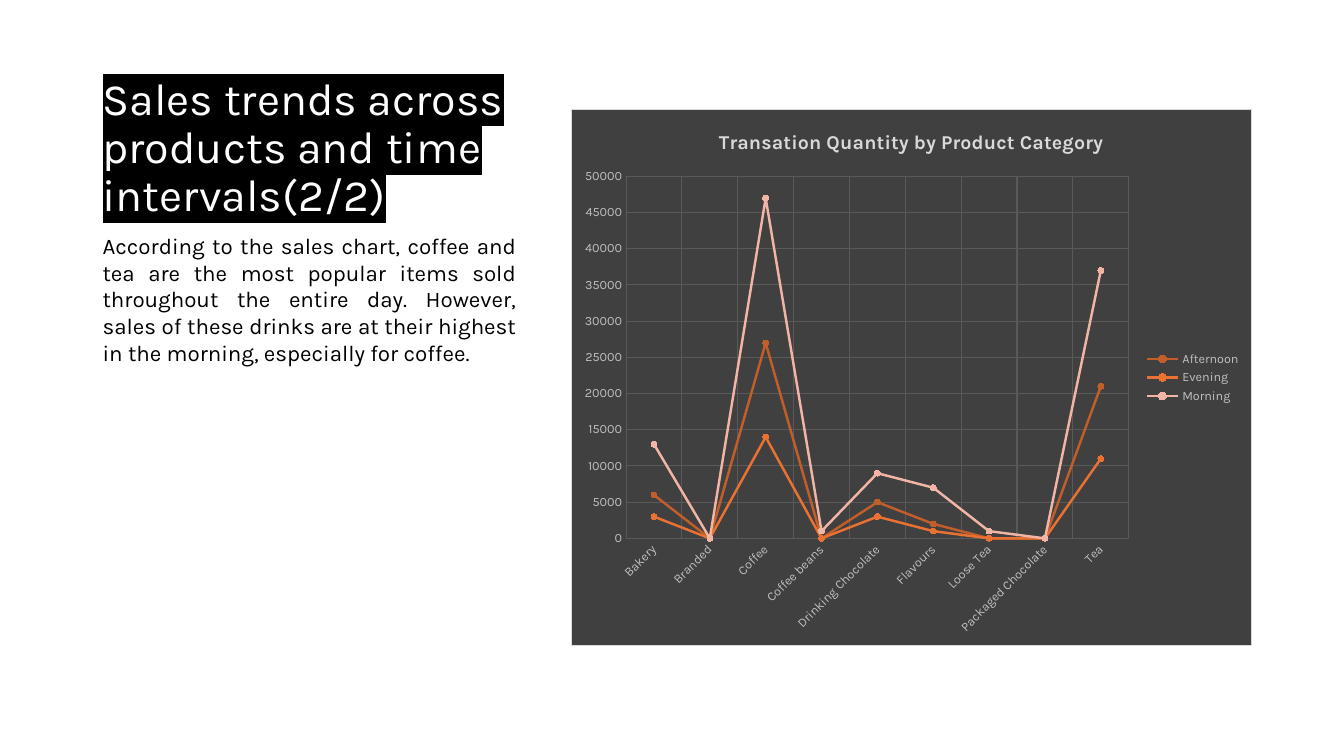
from lxml import etree
from pptx import Presentation
from pptx.chart.data import CategoryChartData
from pptx.dml.color import RGBColor
from pptx.enum.chart import XL_CHART_TYPE, XL_LEGEND_POSITION, XL_MARKER_STYLE, XL_TICK_MARK
from pptx.enum.text import MSO_ANCHOR, PP_ALIGN
from pptx.oxml import parse_xml
from pptx.oxml.ns import nsdecls, qn
from pptx.util import Pt

FONT = "Karla"
BLACK = RGBColor(0x00, 0x00, 0x00)
WHITE = RGBColor(0xFF, 0xFF, 0xFF)
PANEL = RGBColor(0x40, 0x40, 0x40)
GRID = RGBColor(0x59, 0x59, 0x59)
LABEL = RGBColor(0xBF, 0xBF, 0xBF)
BORDER = RGBColor(0xD9, 0xD9, 0xD9)
RUST = RGBColor(0xC1, 0x5E, 0x29)
ORANGE = RGBColor(0xE9, 0x71, 0x32)
PINK = RGBColor(0xF1, 0xB4, 0xA5)


def style(font, size, color, bold=False):
    font.name, font.size, font.bold = FONT, Pt(size), bold
    font.color.rgb = color


def add_text(s, text, top, height, size, color):
    tf = s.shapes.add_textbox(Pt(66.24), Pt(top), Pt(309.6), Pt(height)).text_frame
    tf.word_wrap = True
    tf.text = text
    style(tf.paragraphs[0].runs[0].font, size, color)
    return tf


prs = Presentation()
prs.slide_width, prs.slide_height = Pt(960), Pt(540)
s = prs.slides.add_slide(prs.slide_layouts[6])

# Title with black highlight
tf = add_text(s, "Sales trends across products and time intervals(2/2)", 36, 125.8, 32, WHITE)
tf.vertical_anchor = MSO_ANCHOR.BOTTOM
p = tf.paragraphs[0]
p.line_spacing = 0.9
fill = p.runs[0].font._element.find(qn("a:solidFill"))
fill.addnext(parse_xml(f'<a:highlight {nsdecls("a")}><a:srgbClr val="{BLACK}"/></a:highlight>'))

# Commentary
tf = add_text(
    s,
    "According to the sales chart, coffee and tea are the most popular items sold "
    "throughout the entire day. However, sales of these drinks are at their highest "
    "in the morning, especially for coffee.",
    162, 300, 16, BLACK)
p = tf.paragraphs[0]
p.alignment = PP_ALIGN.JUSTIFY
p.space_before = Pt(10)

# Chart data
data = CategoryChartData()
data.categories = ["Bakery", "Branded", "Coffee", "Coffee beans", "Drinking Chocolate",
                   "Flavours", "Loose Tea", "Packaged Chocolate", "Tea"]
data.add_series("Afternoon", [6000, 0, 27000, 0, 5000, 2000, 0, 0, 21000])
data.add_series("Evening", [3000, 0, 14000, 0, 3000, 1000, 0, 0, 11000])
data.add_series("Morning", [13000, 0, 47000, 1000, 9000, 7000, 1000, 0, 37000])
chart = s.shapes.add_chart(XL_CHART_TYPE.LINE_MARKERS, Pt(408), Pt(77.8),
                           Pt(486), Pt(383.8), data).chart
style(chart.font, 10, BLACK)

# Title and legend
chart.has_title = True
tf = chart.chart_title.text_frame
tf.text = "Transation Quantity by Product Category"
style(tf.paragraphs[0].runs[0].font, 14, BORDER, bold=True)
chart.has_legend = True
chart.legend.position = XL_LEGEND_POSITION.RIGHT
chart.legend.include_in_layout = False
style(chart.legend.font, 9, LABEL)

# Axes
for axis in (chart.category_axis, chart.value_axis):
    axis.major_tick_mark = axis.minor_tick_mark = XL_TICK_MARK.NONE
    axis.has_major_gridlines = True
    line = axis.major_gridlines.format.line
    line.color.rgb, line.width = GRID, Pt(0.75)
    axis.format.line.fill.background()
    style(axis.tick_labels.font, 9, LABEL)
chart.value_axis.minimum_scale = 0
chart.value_axis.maximum_scale = 50000
chart.value_axis.major_unit = 5000
chart.category_axis._element.find(qn("c:txPr")).find(qn("a:bodyPr")).set("rot", "-2700000")

# Series
chart.plots[0].vary_by_categories = False
for series, color in zip(chart.plots[0].series, (RUST, ORANGE, PINK)):
    series.smooth = False
    line, marker = series.format.line, series.marker
    line.color.rgb, line.width = color, Pt(1.75)
    marker.style, marker.size = XL_MARKER_STYLE.CIRCLE, 4
    marker.format.fill.solid()
    marker.format.fill.fore_color.rgb = color
    marker.format.line.color.rgb = color

# Plot area position
plot_area = chart._chartSpace.chart.plotArea
for old in plot_area.findall(qn("c:layout")):
    plot_area.remove(old)
layout = etree.Element(qn("c:layout"))
manual = etree.SubElement(layout, qn("c:manualLayout"))
for tag, val in (("layoutTarget", "inner"), ("xMode", "edge"), ("yMode", "edge"),
                 ("x", "0.08"), ("y", "0.125"), ("w", "0.74"), ("h", "0.675")):
    etree.SubElement(manual, qn(f"c:{tag}")).set("val", val)
plot_area.insert(0, layout)

# Dark panel behind the chart
chart._chartSpace.find(qn("c:chart")).addnext(parse_xml(
    f'<c:spPr {nsdecls("c", "a")}>'
    f'<a:solidFill><a:srgbClr val="{PANEL}"/></a:solidFill>'
    f'<a:ln w="{Pt(0.75)}"><a:solidFill><a:srgbClr val="{BORDER}"/></a:solidFill></a:ln>'
    '</c:spPr>'))

prs.save("out.pptx")
